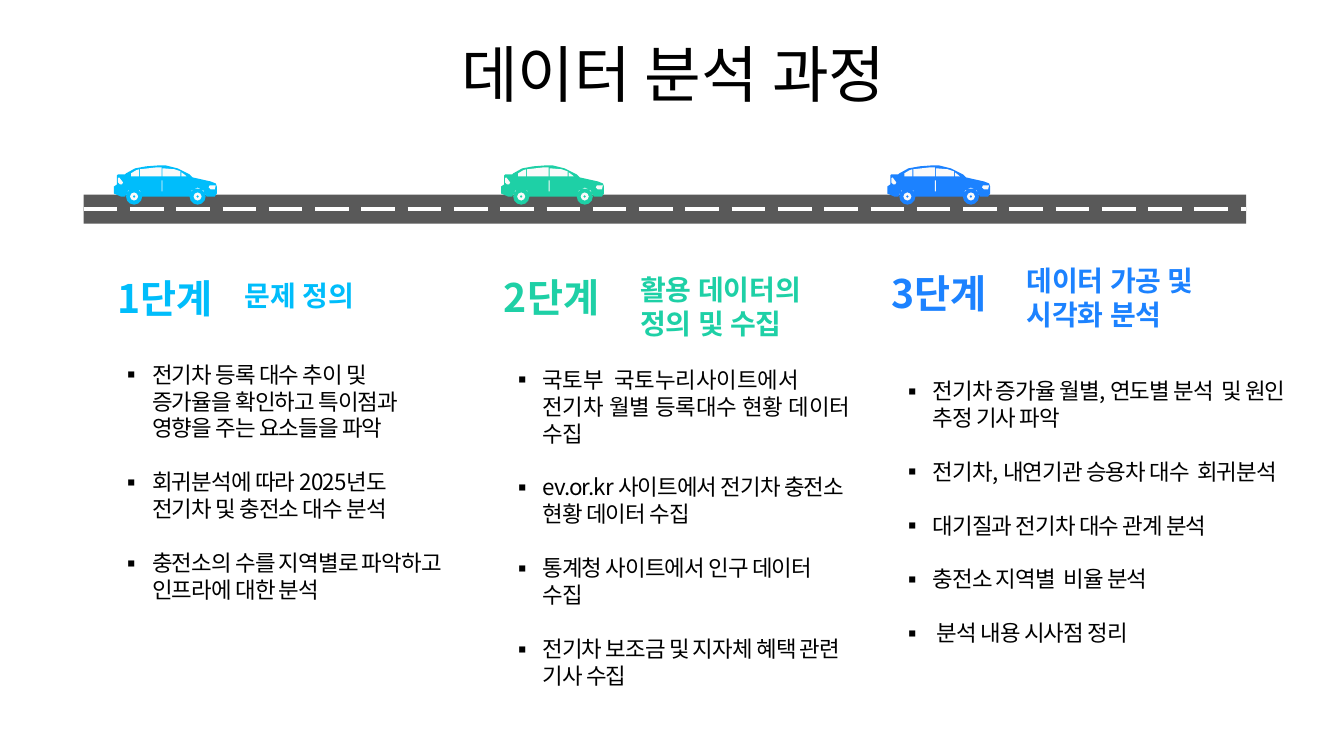
from dataclasses import dataclass
from math import cos, pi, sin

from lxml.etree import SubElement
from pptx import Presentation
from pptx.dml.color import RGBColor
from pptx.enum.dml import MSO_LINE
from pptx.enum.shapes import MSO_CONNECTOR as Connector, MSO_SHAPE as Preset
from pptx.enum.text import MSO_ANCHOR as Anchor, MSO_AUTO_SIZE as AutoSize, PP_ALIGN as Align
from pptx.oxml.ns import qn
from pptx.util import Inches, Pt

FONT = "Noto Sans CJK KR"
COLORS = {
    "sky": "00BDFB", "mint": "1ED0A6", "blue": "1C82FF",
    "road": "595959", "dash": "FFFFFF", "glass": "FAFAFA", "text": "000000",
}
Point = tuple[float, float]
Contour = tuple[Point, ...]
Box = tuple[float, float, float, float]


@dataclass(frozen=True)
class Step:
    color: str
    car_left: float
    label: str
    label_box: Box
    heading: str
    heading_box: Box
    list_slot: int
    list_box: Box
    items: tuple[str, ...]
    loose_items: int = 0  # leading items with normal letter spacing


STEPS = (
    Step("sky", 1.13, "1단계", (0.96, 2.67, 1.36, 0.57),
         "문제 정의", (2.33, 2.35, 2.15, 1.16), 1, (1.1, 3.53, 3.42, 2.52),
         ("전기차 등록 대수 추이 및 증가율을 확인하고 특이점과 영향을 주는 요소들을 파악",
          "회귀분석에 따라 2025년도 전기차 및 충전소 대수 분석",
          "충전소의 수를 지역별로 파악하고 인프라에 대한 분석")),
    Step("mint", 4.97, "2단계", (4.79, 2.66, 1.36, 0.99),
         "활용 데이터의 정의 및 수집", (6.25, 2.37, 2.15, 1.34), 2, (4.97, 3.58, 3.57, 2.79),
         ("국토부  국토누리사이트에서 전기차 월별 등록대수 현황 데이터 수집",
          "ev.or.kr 사이트에서 전기차 충전소 현황 데이터 수집",
          "통계청 사이트에서 인구 데이터 수집",
          "전기차 보조금 및 지자체 혜택 관련 기사 수집"), 1),
    Step("blue", 8.8, "3단계", (8.63, 2.62, 1.36, 0.86),
         "데이터 가공 및 시각화 분석", (10.08, 2.37, 2.15, 1.16), 4, (8.84, 3.69, 4.04, 2.79),
         ("전기차 증가율 월별, 연도별 분석  및 원인 추정 기사 파악",
          "전기차, 내연기관 승용차 대수  회귀분석",
          "대기질과 전기차 대수 관계 분석",
          "충전소 지역별  비율 분석",
          " 분석 내용 시사점 정리")),
)

# Car outlines in hundredths of an inch
CAR_TOP = 1.64
CAR_BODY = (
    (45, 0), (32, 1), (21, 3), (12, 8), (11, 9), (4, 9), (3, 10), (3, 19), (0, 21), (0, 28),
    (7, 31), (11, 31), (14, 25), (20, 23), (26, 25), (28, 31), (75, 31), (77, 25), (83, 22),
    (89, 25), (92, 31), (100, 31), (102, 28), (102, 21), (101, 18), (96, 16), (78, 12),
    (75, 9), (63, 3), (51, 0),
)
CAR_DETAILS = (
    ((101, 20), (95, 20), (94, 22), (96, 24), (100, 24)),
    ((47.3, 15), (47.3, 26), (48.2, 26), (48.2, 15)),
    ((5, 12), (4, 13), (4, 17), (6, 19), (8, 19), (9, 17), (6, 13)),
    ((67, 7), (67, 11), (72, 11), (71, 10)),
    ((25, 4), (22, 5), (17, 8), (17, 11), (25, 11)),
    ((48.2, 3), (48.2, 11), (66, 11), (66, 6), (60, 4)),
    ((43, 2), (26, 4), (26, 11), (47.3, 11), (47.3, 2)),
)
WHEEL_CENTERS = ((20, 31), (83, 31))


def rgb(name: str) -> RGBColor:
    return RGBColor.from_string(COLORS[name])


def ring(center: Point, radius: float, corners: int, turn: int = 1) -> Contour:
    angles = [turn * 2 * pi * corner / corners for corner in range(corners)]
    return tuple((center[0] + radius * cos(a), center[1] + radius * sin(a)) for a in angles)


def add_outline(slide, left: float, contours: list[Contour], color: str) -> None:
    builder = None
    for contour in contours:
        first, *rest = [(x * 10, y * 10) for x, y in contour]
        if builder is None:
            builder = slide.shapes.build_freeform(*first, scale=Inches(0.01) / 10)
        else:
            builder.move_to(*first)
        builder.add_line_segments(rest, close=True)
    shape = builder.convert_to_shape(Inches(left), Inches(CAR_TOP))
    shape.shadow.inherit = False
    shape.fill.solid()
    shape.fill.fore_color.rgb = rgb(color)
    shape.line.fill.background()


def add_car(slide, left: float, color: str) -> None:
    wheels = [ring(center, 8, 12) for center in WHEEL_CENTERS]
    add_outline(slide, left, [CAR_BODY, *wheels], color)
    hubs = [ring(center, 4, 8) for center in WHEEL_CENTERS]
    holes = [ring(center, 1.5, 4, -1) for center in WHEEL_CENTERS]
    add_outline(slide, left, [*CAR_DETAILS, *hubs, *holes], "glass")


def add_road(slide) -> None:
    road = slide.shapes.add_shape(Preset.RECTANGLE, *map(Inches, (0.83, 1.93, 11.53, 0.29)))
    road.shadow.inherit = False
    road.fill.solid()
    road.fill.fore_color.rgb = rgb("road")
    road.line.fill.background()
    center_line = slide.shapes.add_connector(Connector.STRAIGHT, 0, 0, 0, 0)
    center_line.begin_connect(road, 1)
    center_line.end_connect(road, 3)
    center_line.line.color.rgb = rgb("dash")
    center_line.line.width = Pt(3)
    center_line.line.dash_style = MSO_LINE.LONG_DASH
    SubElement(center_line._element.spPr, qn("a:effectLst"))


def style(para, size: float, color: str, bold: bool = False) -> None:
    font = para.font
    font.size, font.bold, font.name = Pt(size), bold, FONT
    font.color.rgb = rgb(color)
    SubElement(font._rPr, qn("a:ea"), typeface=FONT)


def place(shape, box: Box, anchor: Anchor) -> None:
    shape.left, shape.top, shape.width, shape.height = map(Inches, box)
    frame = shape.text_frame
    frame.word_wrap, frame.auto_size, frame.vertical_anchor = True, AutoSize.NONE, anchor


def add_label(slide, text: str, box: Box, size: float, color: str,
              anchor: Anchor, align: Align, inset: float) -> None:
    label = slide.shapes.add_textbox(0, 0, 0, 0)
    place(label, box, anchor)
    frame = label.text_frame
    frame.margin_left = frame.margin_right = Inches(inset)
    para = frame.paragraphs[0]
    para.text, para.alignment = text, align
    style(para, size, color, bold=True)


def fill_list(holder, step: Step) -> None:
    place(holder, step.list_box, Anchor.TOP)
    frame = holder.text_frame
    for index, item in enumerate(step.items):
        para = frame.add_paragraph() if index else frame.paragraphs[0]
        span = para.add_run()
        span.text = item
        para.space_before = Pt(19.3 if index else 0)
        props = para._p.get_or_add_pPr()
        props.set("marL", str(Inches(0.31)))
        props.set("indent", str(-Inches(0.31)))
        SubElement(props, qn("a:buFont"), typeface=FONT)
        SubElement(props, qn("a:buChar"), char="▪")
        style(para, 16, "text")
        if index >= step.loose_items:
            span._r.get_or_add_rPr().set("spc", "-60")


def main() -> None:
    deck = Presentation()
    deck.slide_width, deck.slide_height = Inches(13.33), Inches(7.5)
    page = deck.slides.add_slide(deck.slide_layouts[4])

    # Title
    title = page.shapes.title
    place(title, (0.35, 0.37, 12.66, 0.79), Anchor.MIDDLE)
    para = title.text_frame.paragraphs[0]
    para.text, para.alignment = "데이터 분석 과정", Align.CENTER
    para.line_spacing, para.space_before = 0.9, Pt(10)
    style(para, 44, "text")

    # Road, then one car, heading and list for each step
    add_road(page)
    holders = {holder.placeholder_format.idx: holder for holder in page.placeholders}
    for step in STEPS:
        add_car(page, step.car_left, step.color)
        add_label(page, step.label, step.label_box, 28, step.color,
                  Anchor.TOP, Align.CENTER, 0.12)
        add_label(page, step.heading, step.heading_box, 20, step.color,
                  Anchor.MIDDLE, Align.LEFT, 0.1)
        fill_list(holders[step.list_slot], step)

    # Unused placeholder
    spare = holders[3]._element
    spare.getparent().remove(spare)
    deck.save("out.pptx")


if __name__ == "__main__":
    main()
